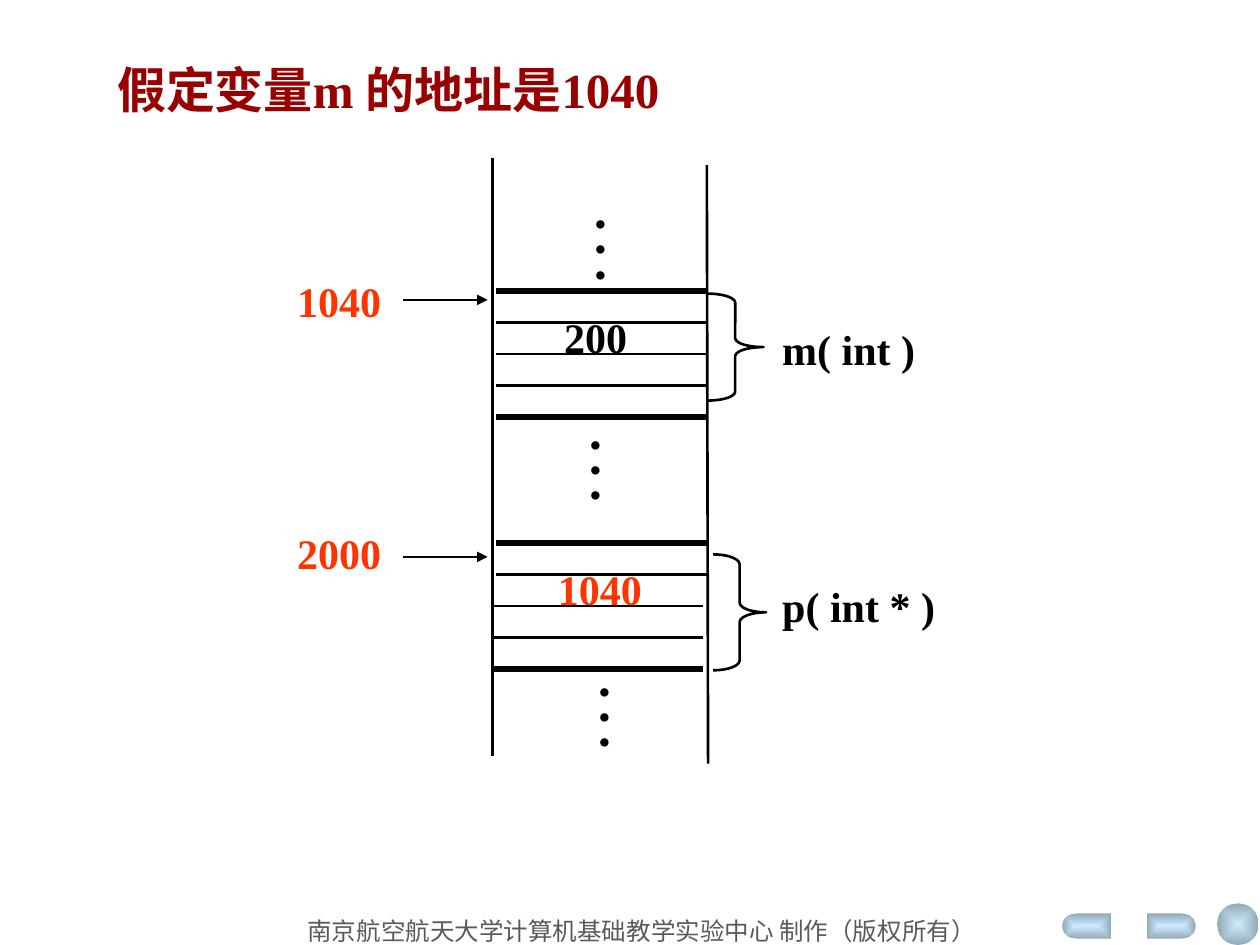
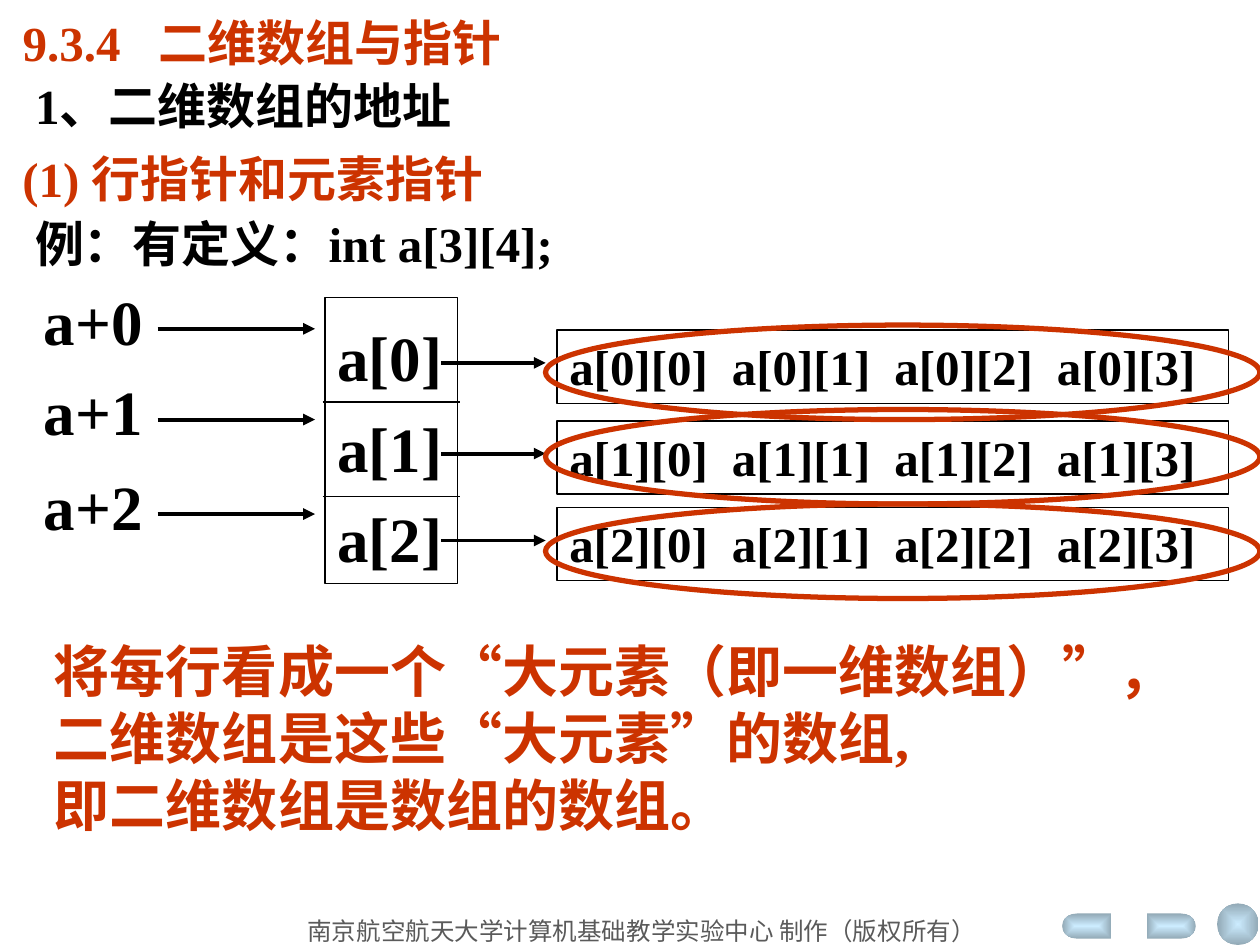
from math import cos, pi, sin

from lxml.etree import SubElement
from pptx import Presentation
from pptx.dml.color import RGBColor
from pptx.enum.shapes import MSO_CONNECTOR as Link, MSO_SHAPE as Form
from pptx.enum.text import MSO_ANCHOR as Anchor, MSO_AUTO_SIZE as Fit, PP_ALIGN as Align
from pptx.oxml.ns import qn
from pptx.util import Inches, Pt

FONT = "Times New Roman"
BLACK, WHITE = "000000", "FFFFFF"
RED, RUST, WINE, GREY = "FF3300", "CC3300", "990000", "5A5A5A"
PALE, STEEL = "CCECFF", "92A9B6"


def tint(code):
    return RGBColor.from_string(code)


def place(shape, box):
    shape.left, shape.top, shape.width, shape.height = map(Inches, box)


def write(shape, lines, size, color, bold=True, wrap=False, space=1.0, align=Align.LEFT):
    frame = shape.text_frame
    frame.text = "\n".join(lines)
    frame.word_wrap = wrap
    frame.auto_size = Fit.NONE
    frame.vertical_anchor = Anchor.TOP
    for par in frame.paragraphs:
        par.alignment = align
        par.line_spacing = space
        for run in par.runs:
            font = run.font
            font.name, font.size, font.bold = FONT, Pt(size), bold
            font.color.rgb = tint(color)


def label(slide, box, lines, size, color, **style):
    text = slide.shapes.add_textbox(*map(Inches, box))
    write(text, lines, size, color, **style)
    return text


def set_tabs(par, stops):
    tabs = SubElement(par._p.get_or_add_pPr(), qn("a:tabLst"))
    for stop in stops:
        SubElement(tabs, qn("a:tab"), pos=str(Inches(stop)), algn="l")


def outline(slide, form, box, color, width):
    shape = slide.shapes.add_shape(form, *map(Inches, box))
    shape.shadow.inherit = False
    shape.fill.background()
    shape.line.color.rgb = tint(color)
    shape.line.width = Pt(width)
    return shape


def rule(slide, start, end, width, arrow=False):
    line = slide.shapes.add_connector(Link.STRAIGHT, *map(Inches, start + end))
    line.line.color.rgb = tint(BLACK)
    line.line.width = Pt(width)
    if arrow:
        SubElement(line.line._get_or_add_ln(), qn("a:tailEnd"), type="triangle")
    SubElement(line._element.spPr, qn("a:effectLst"))


def glow(shape, path):
    shape.shadow.inherit = False
    shape.line.fill.background()
    shape.fill.gradient()
    for stop, color in zip(shape.fill.gradient_stops, (PALE, STEEL)):
        stop.color.rgb = tint(color)
    grad = shape._element.spPr.find(qn("a:gradFill"))
    grad.remove(grad.find(qn("a:lin")))
    way = SubElement(grad, qn("a:path"), path=path)
    SubElement(way, qn("a:fillToRect"), l="50000", t="50000", r="50000", b="50000")


def button(slide, box, left):
    x, y, w, h = box
    curve = 0.12
    arc = [(w - curve + curve * sin(pi * i / 10), h / 2 - h / 2 * cos(pi * i / 10))
           for i in range(11)]
    points = [(0, 0)] + arc + [(0, h)]
    if left:
        points = [(w - px, py) for px, py in points]
    spots = [(Inches(x + px), Inches(y + py)) for px, py in points]
    pen = slide.shapes.build_freeform(*spots[0])
    pen.add_line_segments(spots[1:], close=True)
    glow(pen.convert_to_shape(), "rect")


def footer(slide, x, y):
    label(slide, (x, y + 0.05, 7.27, 0.33), ["南京航空航天大学计算机基础教学实验中心 制作（版权所有）"],
          14, GREY, bold=False, wrap=True, align=Align.CENTER)
    button(slide, (x + 6.97, y + 0.08, 0.39, 0.2), True)
    button(slide, (x + 7.64, y + 0.08, 0.39, 0.2), False)
    ball = slide.shapes.add_shape(Form.OVAL, *map(Inches, (x + 8.2, y, 0.33, 0.33)))
    glow(ball, "shape")


def new_slide(deck, title, box, color, space=1.0):
    slide = deck.slides.add_slide(deck.slide_layouts[5])
    slide.background.fill.solid()
    slide.background.fill.fore_color.rgb = tint(WHITE)
    head = slide.shapes.title
    place(head, box)
    write(head, [title], 28, color, wrap=True, space=space)
    footer(slide, 1.46, 7.17)
    return slide


def block(slide, x, y, item):
    step = 0.25
    for i, shift in enumerate(item["shifts"]):
        left = x + 0.03 + shift
        rule(slide, (left, y + i * step), (left + 1.67, y + i * step),
             3 if i in (0, 4) else 1.5)
    arrow = y + item["arrow"]
    rule(slide, (x - 0.71, arrow), (x - 0.04, arrow), 1.5, True)
    label(slide, (x - 1.65, y - 0.17, 0.87, 0.5), [item["addr"]], 24, RED)
    text, dx, color = item["value"]
    label(slide, (x + dx, y + 0.11, 0.87, 0.5), [text], 24, color)
    name, dy = item["name"]
    label(slide, (x + 2.2, y + dy, 1.41, 0.5), [name], 24, BLACK)
    bx, by, w, h, bend = item["brace"]
    brace = outline(slide, Form.RIGHT_BRACE, (x + bx, y + by, w, h), BLACK, 1.5)
    brace.adjustments[0] = bend


def memory(slide, x, y):
    rule(slide, (x, y), (x, y + 4.75), 1.5)
    rule(slide, (x + 1.7, y + 0.06), (x + 1.71, y + 4.81), 1.5)
    for dx, dy in ((0.71, 0.42), (0.67, 2.17), (0.74, 4.13)):
        label(slide, (x + dx, y + dy, 0.3, 0.7), ["•"] * 3, 20, BLACK, bold=False, space=0.6)
    block(slide, x, y + 1.06, {
        "shifts": [0] * 5, "arrow": 0.07, "addr": "1040",
        "value": ("200", 0.47, BLACK), "name": ("m( int )", 0.21),
        "brace": (1.7, 0.02, 0.45, 0.85, 0.157)})
    block(slide, x, y + 3.06, {
        "shifts": [0, 0, -0.03, -0.03, -0.03], "arrow": 0.11, "addr": "2000",
        "value": ("1040", 0.42, RED), "name": ("p( int * )", 0.25),
        "brace": (1.75, 0.09, 0.42, 0.92, 0.183)})


def intro(slide, x, y):
    lines = ((" 1、二维数组的地址", BLACK, 1.1, 0.1),
             ("(1) 行指针和元素指针", RUST, 1.25, 0),
             ("例：有定义：int a[3][4];", BLACK, 1.1, 0.1))
    text = label(slide, (x, y, 6.28, 1.73), [line[0].strip() for line in lines],
                 28, BLACK, wrap=True)
    for par, (_, color, space, indent) in zip(text.text_frame.paragraphs, lines):
        par.line_spacing = space
        par._p.get_or_add_pPr().set("marL", str(Inches(indent)))
        for run in par.runs:
            run.font.color.rgb = tint(color)


def array(slide, x, y):
    names = [f"a[{i}]" for i in range(3)]
    column = outline(slide, Form.RECTANGLE, (x + 2.33, y + 0.17, 1.05, 2.27), BLACK, 0.75)
    write(column, names, 36, BLACK, space=1.2)
    for dy in (1.0, 1.75):
        rule(slide, (x + 2.31, y + dy), (x + 3.4, y + dy), 0.75)
    tops = zip(names, (0, 0.72, 1.47), (0.43, 1.15, 1.84))
    for i, (name, near, far) in enumerate(tops):
        label(slide, (x, y + near, 0.99, 0.7), [f"a+{i}"], 36, BLACK)
        rule(slide, (x + 1, y + near + 0.42), (x + 2.25, y + near + 0.42), 2.25, True)
        rule(slide, (x + 3.25, y + far + 0.26), (x + 4.08, y + far + 0.26), 2.25, True)
        row = outline(slide, Form.RECTANGLE, (x + 4.17, y + far, 5.33, 0.58), BLACK, 0.75)
        write(row, ["\t".join(f"{name}[{j}]" for j in range(4))], 28, BLACK, wrap=True)
        set_tabs(row.text_frame.paragraphs[0], [1.29 * j for j in (1, 2, 3)])


def summary(slide, x, y):
    label(slide, (x, y, 8.68, 2.2),
          ["将每行看成一个“大元素（即一维数组）”，", "二维数组是这些“大元素”的数组,", "即二维数组是数组的数组。"],
          32, RUST, wrap=True)
    for dy in (2.42, 1.75, 1.0):
        outline(slide, Form.OVAL, (x + 4, y - dy, 5.67, 0.75), RUST, 3)


def main():
    deck = Presentation()
    deck.slide_width, deck.slide_height = Inches(10), Inches(7.5)

    first = new_slide(deck, "假定变量m 的地址是1040", (0.83, 0.42, 4.53, 0.57), WINE)
    memory(first, 3.91, 1.25)

    second = new_slide(deck, "9.3.4\t二维数组与指针", (0.08, 0, 6.28, 0.55), RUST, 1.1)
    set_tabs(second.shapes.title.text_frame.paragraphs[0], [1.08])
    intro(second, 0.08, 0.5)
    array(second, 0.25, 2.19)
    summary(second, 0.33, 5)

    deck.save("out.pptx")


if __name__ == "__main__":
    main()
